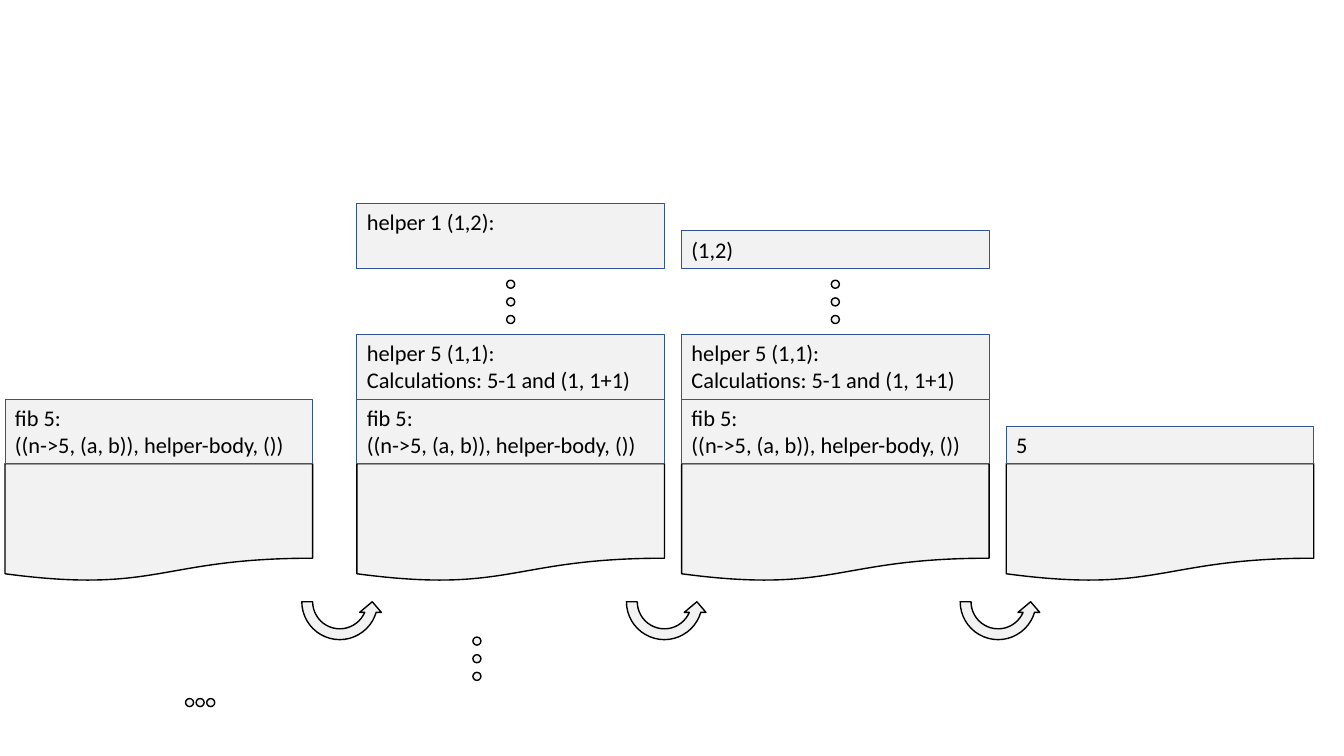
from pptx import Presentation
from pptx import util as u
from pptx.dml.color import RGBColor
from pptx.enum import shapes, text

PAPER = RGBColor(0xF2, 0xF2, 0xF2)
INK = RGBColor(0x00, 0x00, 0x00)
FRAME_EDGE = RGBColor(0x32, 0x54, 0x91)

# Grid in inches: four stack columns, frames growing upward from BASE
COLUMNS = [0.05] + [3.54 + 3.22 * step for step in range(3)]
WIDTH = 3.05
BASE = 4.6
ROWS = {1: 0.37, 2: 0.64}  # frame height by number of text lines
UPPER_BASE = 2.66  # foot of the frames above the dots
DOT, DOT_STEP = 0.08, 0.175
ARROW = 0.86

FIB = ["fib 5:", "((n->5, (a, b)), helper-body, ())"]
HELPER = ["helper 5 (1,1):", "Calculations: 5-1 and (1, 1+1)"]


def write(shape, lines, size=16, font="Calibri", color=INK, fit=True):
    """Fill a shape with one left-aligned paragraph per line."""
    frame = shape.text_frame
    frame.word_wrap = True
    frame.vertical_anchor = text.MSO_ANCHOR.TOP
    frame.auto_size = (text.MSO_AUTO_SIZE.SHAPE_TO_FIT_TEXT if fit
                       else text.MSO_AUTO_SIZE.NONE)
    for number, line in enumerate(lines):
        paragraph = frame.add_paragraph() if number else frame.paragraphs[0]
        paragraph.alignment = text.PP_ALIGN.LEFT
        run = paragraph.add_run()
        run.text = line
        run.font.size = u.Pt(size)
        run.font.name = font
        run.font.color.rgb = color


class StackDiagram:
    def __init__(self, slide):
        self.slide = slide

    def outline(self, kind, left, top, width, height,
                edge=INK, weight=1, parent=None):
        box = [u.Inches(value) for value in (left, top, width, height)]
        shape = (parent or self.slide).shapes.add_shape(kind, *box)
        shape.shadow.inherit = False
        shape.fill.solid()
        shape.fill.fore_color.rgb = PAPER
        shape.line.color.rgb = edge
        shape.line.width = u.Pt(weight)
        return shape

    def frame(self, left, bottom, lines, rows=None):
        """Draw a stack frame standing on bottom; return its top."""
        rows = rows or len(lines)
        top = bottom - ROWS[rows]
        shape = self.outline(shapes.MSO_SHAPE.RECTANGLE, left, top, WIDTH,
                             ROWS[rows], FRAME_EDGE, 0.75)
        write(shape, lines, fit=rows == len(lines))
        return top

    def stack(self, left, frames):
        """Draw the torn stack bottom and its frames, lowest first."""
        self.outline(shapes.MSO_SHAPE.FLOWCHART_DOCUMENT,
                     left, BASE, WIDTH, 1.17)
        bottom = BASE
        for lines in frames:
            bottom = self.frame(left, bottom, lines)

    def dots(self, left, top, across=0.0, down=0.0):
        ellipsis = self.slide.shapes.add_group_shape()
        for number in range(3):
            self.outline(shapes.MSO_SHAPE.OVAL, left + number * across,
                         top + number * down, DOT, DOT, parent=ellipsis)

    def step_arrow(self, left):
        arrow = self.outline(shapes.MSO_SHAPE.CIRCULAR_ARROW,
                             left, 5.54, ARROW, ARROW)
        arrow.element.spPr.xfrm.set("flipV", "1")


deck = Presentation()
deck.slide_width, deck.slide_height = u.Inches(13.33), u.Inches(7.5)
diagram = StackDiagram(deck.slides.add_slide(deck.slide_layouts[6]))

# Call stacks over time
for column, frames in zip(COLUMNS, [[FIB], [FIB, HELPER], [FIB, HELPER], [["5"]]]):
    diagram.stack(column, frames)

# Innermost call and its result, above the omitted frames
for column, lines, rows in [(COLUMNS[1], ["helper 1 (1,2):"], 2),
                            (COLUMNS[2], ["(1,2)"], 1)]:
    diagram.frame(column, UPPER_BASE, lines, rows)
    diagram.dots(column + (WIDTH - DOT) / 2, 2.78, down=DOT_STEP)

# Steps between stacks
for left in (2.94, 6.16, 9.47):
    diagram.step_arrow(left)

# Omitted steps below
diagram.dots(4.69, 6.32, down=DOT_STEP)
diagram.dots(1.84, 6.93, across=0.105)

deck.save("out.pptx")
